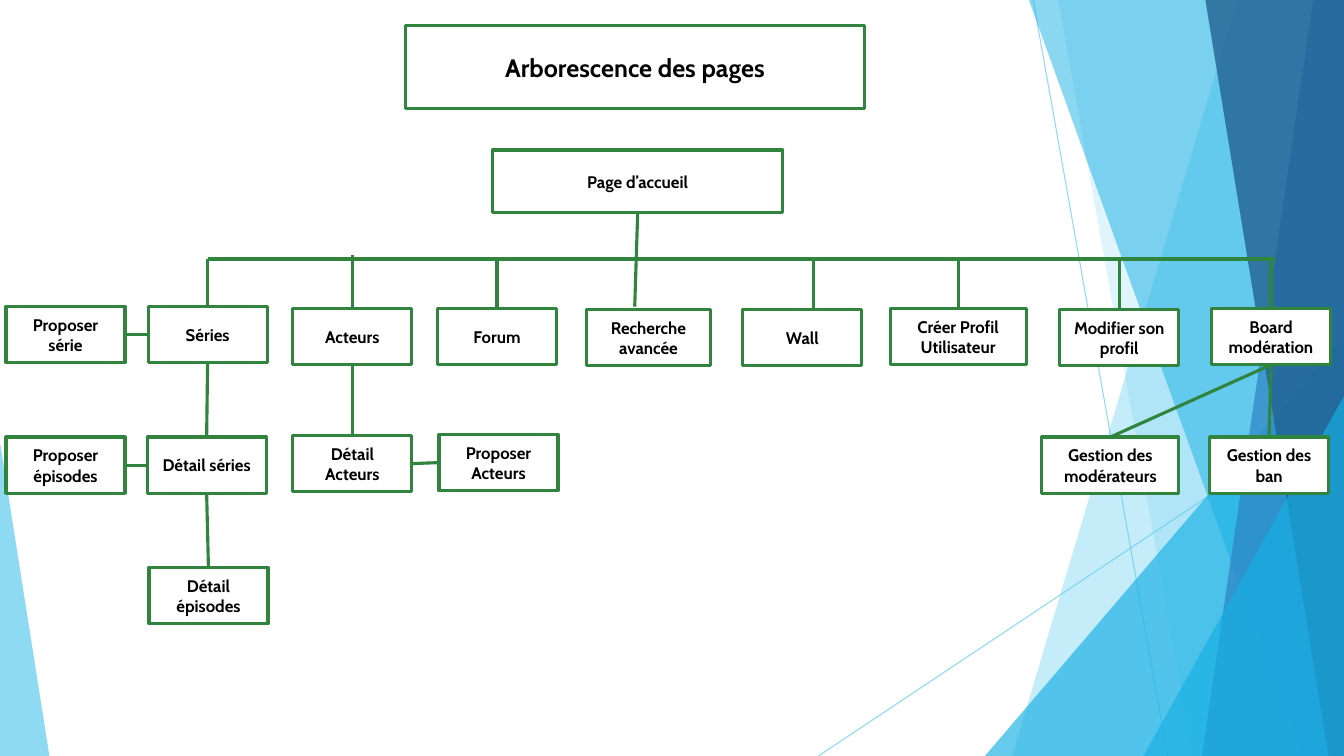
from lxml.etree import SubElement
from pptx import Presentation
from pptx.dml.color import RGBColor
from pptx.enum.shapes import MSO_CONNECTOR as Link, MSO_SHAPE as Shape
from pptx.enum.text import MSO_ANCHOR as Anchor, PP_ALIGN as Align
from pptx.oxml.ns import qn
from pptx.util import Pt

WIDE, HIGH = 960, 540
GREEN = RGBColor(0x31, 0x84, 0x3D)
WHITE = RGBColor(0xFF, 0xFF, 0xFF)
BLACK = RGBColor(0, 0, 0)
SKY = RGBColor(0x5F, 0xCB, 0xEF)
CYAN = RGBColor(0x17, 0xB0, 0xE4)
BLUE = RGBColor(0x2E, 0x83, 0xC3)
NAVY = RGBColor(0x22, 0x62, 0x92)
TOP, LEFT, BOTTOM, RIGHT = range(4)
PAGE_W, PAGE_H = 85, 40.3
BAR_Y = 185

# name: (text, left, top, width)
PAGES = {
    "série+": ("Proposer série", 4.3, 218.9, PAGE_W),
    "séries": ("Séries", 105.8, 218.9, PAGE_W),
    "acteurs": ("Acteurs", 209.2, 220.3, PAGE_W),
    "forum": ("Forum", 312.5, 220.3, PAGE_W),
    "recherche": ("Recherche\navancée", 419, 221, 88.6),
    "wall": ("Wall", 530.6, 221, PAGE_W),
    "créer": ("Créer Profil\nUtilisateur", 635.8, 220.3, 97.2),
    "modifier": ("Modifier son profil", 757, 221, PAGE_W),
    "board": ("Board modération", 865.4, 220.3, PAGE_W),
    "épisodes+": ("Proposer épisodes", 4.3, 312.2, PAGE_W),
    "détail": ("Détail séries", 105.1, 312.2, PAGE_W),
    "épisodes": ("Détail épisodes", 106.4, 405.4, PAGE_W),
    "acteur": ("Détail Acteurs", 209.2, 311, PAGE_W),
    "acteurs+": ("Proposer Acteurs", 313.6, 310.3, PAGE_W),
    "modérateurs": ("Gestion des modérateurs", 744.2, 312.2, 97.9),
    "ban": ("Gestion des ban", 864, 312.2, PAGE_W),
}
DOWN = [("séries", "détail"), ("détail", "épisodes"), ("acteurs", "acteur"),
        ("board", "ban"), ("board", "modérateurs")]
ACROSS = [("série+", "séries"), ("épisodes+", "détail"),
          ("acteur", "acteurs+")]
DROPS = {"séries": BAR_Y, "acteurs": 182.2, "forum": 184.3,
         "créer": 183.6, "modifier": BAR_Y, "board": BAR_Y}


def fade(color, percent):
    """Make a solid fill or line colour partly opaque."""
    node = color._xFill.find(qn("a:srgbClr"))
    SubElement(node, qn("a:alpha"), val=str(percent * 1000))


def tint(shape, color, percent):
    shape.shadow.inherit = False
    shape.line.fill.background()
    shape.fill.solid()
    shape.fill.fore_color.rgb = color
    fade(shape.fill.fore_color, percent)


def join(slide, start, end, color=GREEN, width=2.25):
    line = slide.shapes.add_connector(
        Link.STRAIGHT, *(Pt(v) for v in (*start, *end)))
    line.line.color.rgb = color
    line.line.width = Pt(width)
    SubElement(line._element.spPr, qn("a:effectLst"))
    return line


def add_band(slide, top, foot, color, percent):
    """Fill the area right of a slanting edge, from top x to foot x."""
    pen = slide.shapes.build_freeform(Pt(top), 0)
    pen.add_line_segments([(Pt(WIDE), 0), (Pt(WIDE), Pt(HIGH)),
                           (Pt(foot), Pt(HIGH))], close=True)
    tint(pen.convert_to_shape(), color, percent)


def add_peak(slide, left, top, width, tip, color, percent):
    """Draw a triangle standing on the foot of the slide."""
    peak = slide.shapes.add_shape(Shape.ISOSCELES_TRIANGLE, Pt(left), Pt(top),
                                  Pt(width), Pt(HIGH - top))
    peak.adjustments[0] = tip
    tint(peak, color, percent)


def add_decor(slide):
    for start, end in (((738, 0), (834, HIGH)), ((WIDE, 290), (584.6, HIGH))):
        ray = join(slide, start, end, SKY, 0.75)
        fade(ray.line.color, 70)
    add_band(slide, 884, 723, SKY, 36)
    add_band(slide, 756, 852, SKY, 20)
    add_peak(slide, 703.5, 240, 256.5, 1, CYAN, 66)
    add_band(slide, 735, 929.5, CYAN, 50)
    add_band(slide, 938, 858.5, BLUE, 70)
    add_band(slide, 861, 949, NAVY, 80)
    add_peak(slide, 816.7, 283, 143.3, 1, CYAN, 66)
    add_peak(slide, 0, 316, 35.3, 0, SKY, 70)


def dress(shape, text, size):
    """Give a shape its white fill, green outline and bold label."""
    shape.fill.solid()
    shape.fill.fore_color.rgb = WHITE
    shape.line.color.rgb = GREEN
    shape.line.width = Pt(2.25)
    shape.shadow.inherit = False
    frame = shape.text_frame
    frame.text = text
    frame.word_wrap = True
    frame.vertical_anchor = Anchor.MIDDLE
    for para in frame.paragraphs:
        para.alignment = Align.CENTER
        font = para.font
        font.name, font.size, font.bold = "Cabin", Pt(size), True
        font.color.rgb = BLACK


def add_title(slide, left, top, width, height):
    title = slide.shapes.title
    title.left, title.top = Pt(left), Pt(top)
    title.width, title.height = Pt(width), Pt(height)
    form = SubElement(title._element.spPr, qn("a:prstGeom"), prst="ellipse")
    SubElement(form, qn("a:avLst"))
    dress(title, "Arborescence des pages", 18)


def add_page(slide, text, left, top, width, height=PAGE_H):
    page = slide.shapes.add_shape(Shape.RECTANGLE, Pt(left), Pt(top),
                                  Pt(width), Pt(height))
    dress(page, text, 12)
    return page


def add_tree(slide):
    home = add_page(slide, "Page d’accueil", 351.8, 107.2, 207.4, 44.8)
    pages = {name: add_page(slide, *spot) for name, spot in PAGES.items()}

    join(slide, (148.5, BAR_Y), (910.8, BAR_Y))
    trunk = join(slide, (455, 152), (453.4, 219))
    trunk.begin_connect(home, BOTTOM)
    join(slide, (581, BAR_Y), (581, 221))
    for name, start in DROPS.items():
        text, left, top, width = PAGES[name]
        mid = left + width / 2
        drop = join(slide, (mid, start), (mid, top))
        drop.end_connect(pages[name], TOP)

    for pairs, out, into in ((DOWN, BOTTOM, TOP), (ACROSS, RIGHT, LEFT)):
        for first, last in pairs:
            line = join(slide, (0, 0), (0, 0))
            line.begin_connect(pages[first], out)
            line.end_connect(pages[last], into)


def main():
    deck = Presentation()
    deck.slide_width, deck.slide_height = Pt(WIDE), Pt(HIGH)
    slide = deck.slides.add_slide(deck.slide_layouts[5])
    add_title(slide, 289.4, 18, 328.3, 59.8)
    add_decor(slide)
    add_tree(slide)
    deck.save("out.pptx")


if __name__ == "__main__":
    main()
